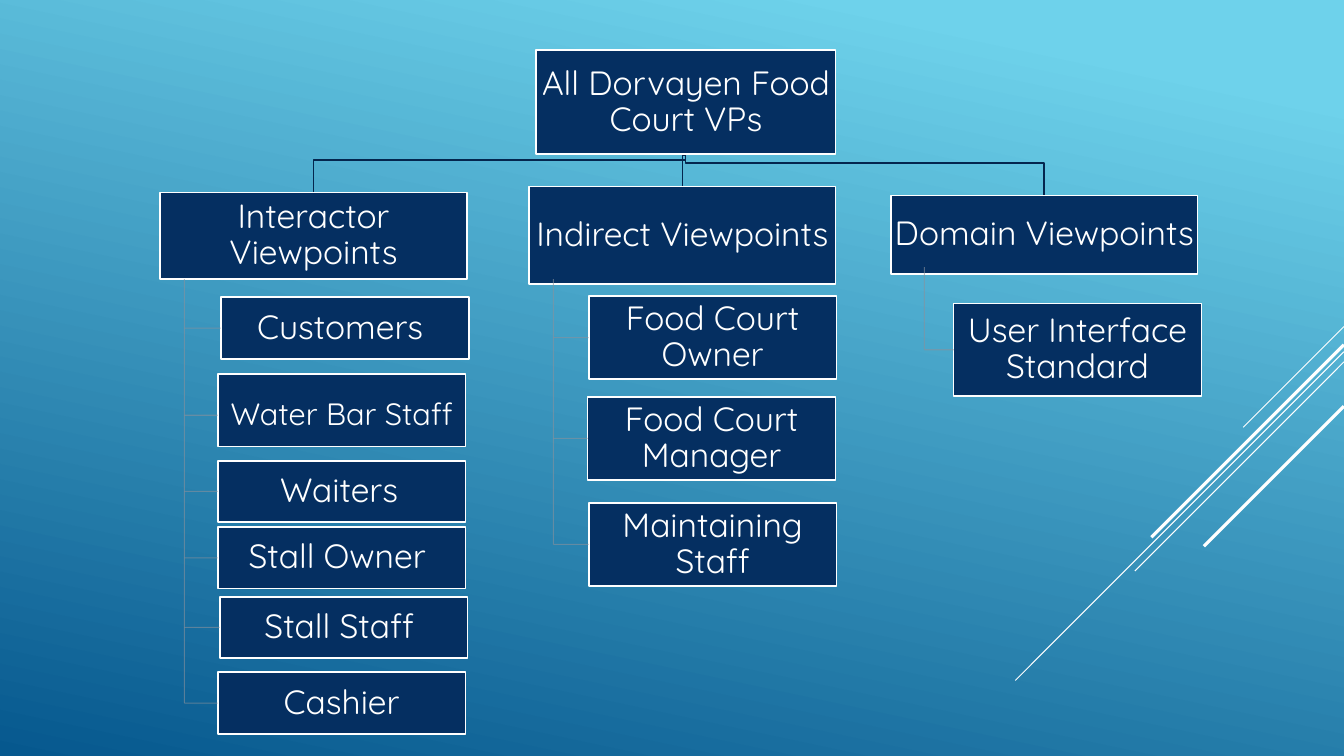
from dataclasses import dataclass

from lxml.etree import SubElement
from pptx import Presentation
from pptx.dml.color import RGBColor
from pptx.enum.shapes import MSO_CONNECTOR, MSO_SHAPE
from pptx.enum.text import MSO_ANCHOR, PP_ALIGN
from pptx.oxml.ns import qn
from pptx.slide import Slide
from pptx.util import Emu, Inches, Pt

ROWS = 75
COLS = 133.33
HIGH = Inches(7.5)
CELL = HIGH // ROWS
WIDE = Emu(12192000)
INSET = 0.2
HEAD_W = 30.4
LEAF_W = 24.6


@dataclass(frozen=True)
class Theme:
    font: str = "Quicksand"
    size: float = 24
    small: float = 22
    light: str = "6ED2EB"
    deep: str = "06588E"
    navy: str = "052F61"
    link: str = "04264E"
    gray: str = "89919C"
    white: str = "FFFFFF"
    edge: float = 1.25
    thin: float = 0.75
    thick: float = 2.25


THEME = Theme()


@dataclass(frozen=True)
class Box:
    text: str
    col: float
    row: float
    wide: float
    high: float
    size: float = THEME.size
    drop: float = 0
    tail: float = 0

    @property
    def center(self) -> float:
        return self.col + self.wide / 2

    @property
    def middle(self) -> float:
        return self.row + (self.high + self.drop) / 2


@dataclass(frozen=True)
class Branch:
    head: Box
    turn: float
    trunk: float
    top: float
    leaves: tuple[Box, ...]


@dataclass(frozen=True)
class Ray:
    row: float
    reach: float
    weight: float = THEME.thin


RAYS = (
    Ray(32.4, 10),
    Ray(34.9, 32.6),
    Ray(35.9, 20.75),
    Ray(34.2, 19.1, THEME.thick),
    Ray(40.3, 13.9, THEME.thick),
)

ROOT = Box("All Dorvayen Food Court VPs", 53.2, 5, 29.7, 10.3)
START = (68, 15.4)

BRANCHES = (
    Branch(
        Box("Interactor Viewpoints", 15.9, 19.1, HEAD_W, 8.6), 15.9, 18.3, 27.7,
        (
            Box("Customers", 21.9, 29.5, LEAF_W, 6.1, tail=0.9),
            Box("Water Bar Staff", 21.6, 37.1, LEAF_W, 7.2, THEME.small, drop=1),
            Box("Waiters", 21.6, 45.7, LEAF_W, 6.1, tail=0.5),
            Box("Stall Owner", 21.6, 52.3, LEAF_W, 6.1, tail=0.9),
            Box("Stall Staff", 21.8, 59.2, LEAF_W, 6.1, tail=0.9),
            Box("Cashier", 21.6, 66.7, LEAF_W, 6.1),
        ),
    ),
    Branch(
        Box("Indirect Viewpoints", 52.5, 18.5, HEAD_W, 9.7), 15.4, 54.9, 27.7,
        (
            Box("Food Court Owner", 58.4, 29.4, LEAF_W, 8.2),
            Box("Food Court Manager", 58.3, 39.4, LEAF_W, 8.2),
            Box("Maintaining Staff", 58.4, 49.9, LEAF_W, 8.2),
        ),
    ),
    Branch(
        Box("Domain Viewpoints", 88.4, 19.4, HEAD_W, 7.8), 16.2, 91.7, 26.5,
        (Box("User Interface Standard", 94.6, 30.1, LEAF_W, 9.2),),
    ),
)


def span(cells: float) -> Emu:
    return Emu(round(cells * CELL))


def tint(code: str) -> RGBColor:
    return RGBColor.from_string(code)


def paint_back(slide: Slide) -> None:
    fill = slide.background.fill
    fill.gradient()
    fill.gradient_angle = 258
    stops = ((0.1, THEME.light), (1, THEME.deep))
    for stop, (place, code) in zip(fill.gradient_stops, stops):
        stop.position = place
        stop.color.rgb = tint(code)


def draw_line(slide: Slide, start: tuple[float, float], end: tuple[float, float],
              code: str, weight: float, alpha: int = 100) -> None:
    line = slide.shapes.add_connector(
        MSO_CONNECTOR.STRAIGHT, *map(span, start), *map(span, end))
    line.line.color.rgb = tint(code)
    line.line.width = Pt(weight)
    props = line._element.spPr
    if alpha < 100:
        shade = props.find(".//" + qn("a:srgbClr"))
        SubElement(shade, qn("a:alpha"), val=str(alpha * 1000))
    SubElement(props, qn("a:effectLst"))


def draw_elbow(slide: Slide, branch: Branch) -> None:
    head = branch.head
    points = [(START[0], branch.turn), (head.center, branch.turn), (head.center, head.row)]
    form = slide.shapes.build_freeform(*map(span, START))
    form.add_line_segments([(span(x), span(y)) for x, y in points], close=False)
    elbow = form.convert_to_shape()
    elbow.shadow.inherit = False
    elbow.fill.background()
    elbow.line.color.rgb = tint(THEME.link)
    elbow.line.width = Pt(THEME.edge)


def draw_box(slide: Slide, box: Box) -> None:
    place = map(span, (box.col, box.row, box.wide, box.high))
    shape = slide.shapes.add_shape(MSO_SHAPE.RECTANGLE, *place)
    shape.shadow.inherit = False
    shape.fill.solid()
    shape.fill.fore_color.rgb = tint(THEME.navy)
    shape.line.color.rgb = tint(THEME.white)
    shape.line.width = Pt(THEME.edge)
    frame = shape.text_frame
    frame.text = box.text
    frame.word_wrap = True
    frame.vertical_anchor = MSO_ANCHOR.MIDDLE
    frame.margin_left = frame.margin_bottom = span(INSET)
    frame.margin_right = span(INSET + box.tail)
    frame.margin_top = span(INSET + box.drop)
    for para in frame.paragraphs:
        para.alignment = PP_ALIGN.CENTER
        para.line_spacing = 0.9
        for run in para.runs:
            run.font.name = THEME.font
            run.font.size = Pt(box.size)
            run.font.color.rgb = tint(THEME.white)


def draw_trunk(slide: Slide, branch: Branch) -> None:
    side = branch.trunk
    paths = [((side, branch.top), (side, branch.leaves[-1].middle))]
    paths += [((side, leaf.middle), (leaf.col, leaf.middle)) for leaf in branch.leaves]
    for start, end in paths:
        draw_line(slide, start, end, THEME.gray, THEME.thin, 60)


def main() -> None:
    deck = Presentation()
    deck.slide_width, deck.slide_height = WIDE, HIGH
    slide = deck.slides.add_slide(deck.slide_layouts[6])
    paint_back(slide)
    for ray in RAYS:
        end = (COLS - ray.reach, ray.row + ray.reach)
        draw_line(slide, (COLS, ray.row), end, THEME.white, ray.weight)
    for branch in BRANCHES:
        draw_elbow(slide, branch)
    draw_box(slide, ROOT)
    for branch in BRANCHES:
        for box in (branch.head, *branch.leaves):
            draw_box(slide, box)
        draw_trunk(slide, branch)
    deck.save("out.pptx")


if __name__ == "__main__":
    main()
